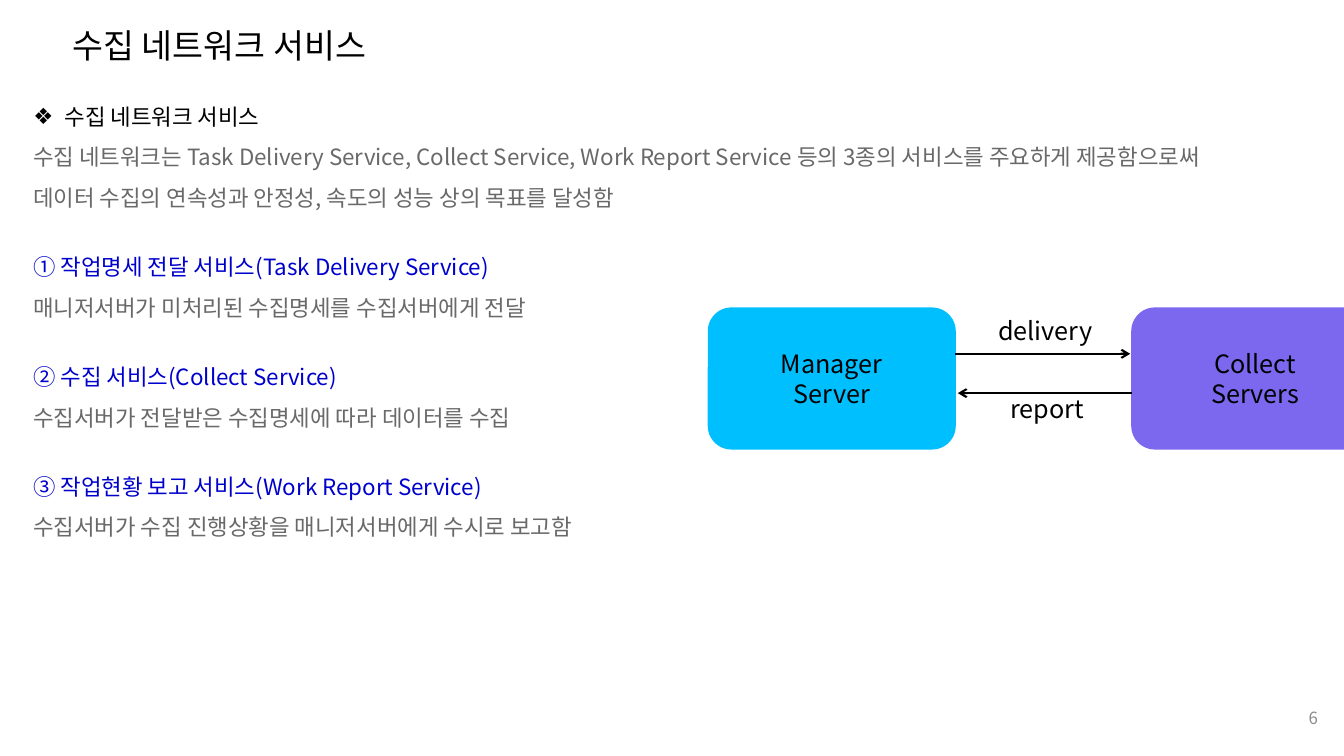
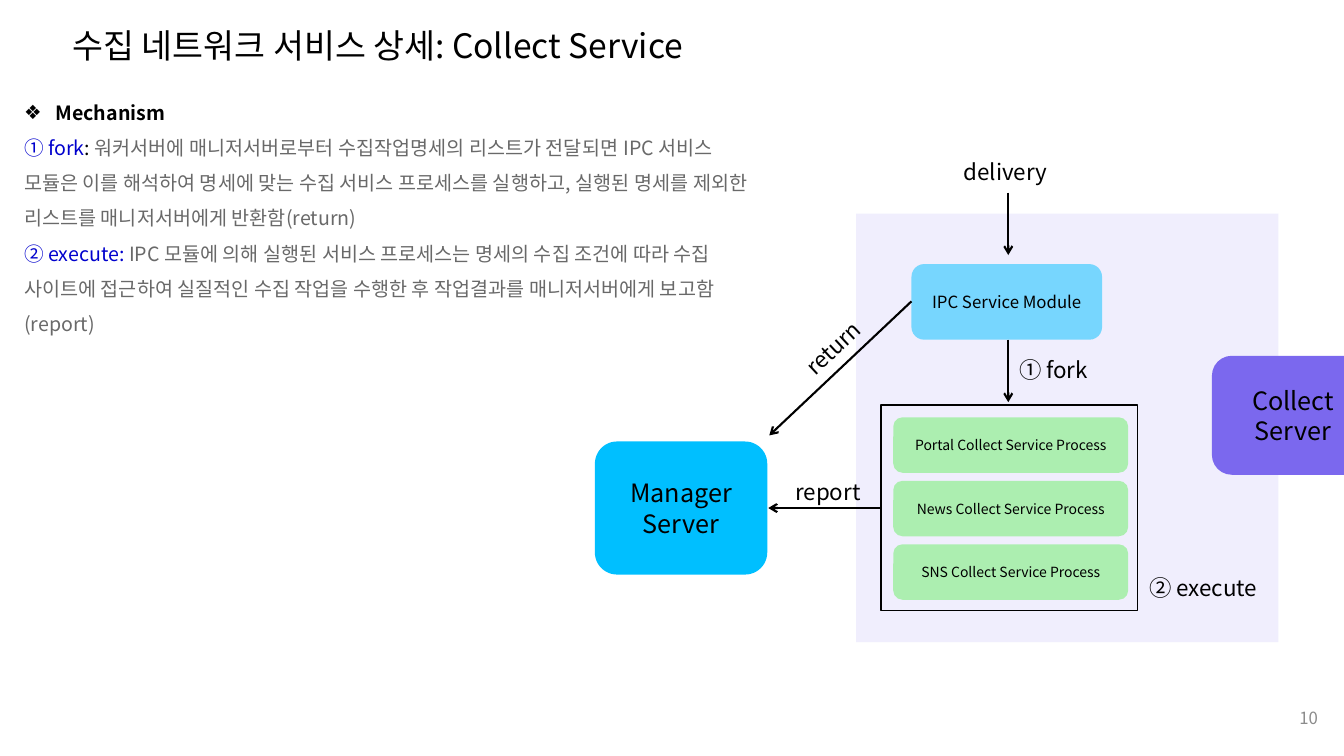
from dataclasses import dataclass

from pptx import Presentation
from pptx.dml.color import RGBColor
from pptx.enum.shapes import MSO_CONNECTOR, MSO_SHAPE
from pptx.enum.text import MSO_ANCHOR, MSO_AUTO_SIZE, PP_ALIGN
from pptx.oxml.ns import qn
from pptx.util import Emu, Pt
from lxml.etree import SubElement


@dataclass(frozen=True)
class Theme:
    font: str = "Noto Sans CJK KR"
    black: str = "000000"
    gray: str = "696969"
    blue: str = "0000CD"
    number: str = "8C8C8C"
    manager: str = "00BFFF"
    collect: str = "7B68EE"
    process: str = "90EE90"
    title_size: int = 24
    server_size: int = 18
    label_size: int = 16
    small_size: int = 12
    process_size: int = 10


THEME = Theme()
PX = 9144  # 100 px to the inch
RECT, ROUND = MSO_SHAPE.RECTANGLE, MSO_SHAPE.ROUNDED_RECTANGLE


def px(*lengths):
    return [Emu(length * PX) for length in lengths]


def write(frame, text, color=THEME.black, size=THEME.label_size, bold=False,
          align=PP_ALIGN.LEFT, spacing=1.0, before=0, bullet=None):
    """Add one paragraph per line; text is a string or (text, color) pairs."""
    lines = [[(line, color)] for line in text.split("\n")] if isinstance(text, str) else [text]
    for line in lines:
        first = frame.paragraphs[0]
        paragraph = frame.add_paragraph() if first.runs else first
        paragraph.alignment = align
        paragraph.line_spacing = spacing
        paragraph.space_before = Pt(before)
        properties = paragraph._p.get_or_add_pPr()
        indent = 31 * PX if bullet else 0
        properties.set("marL", str(indent))
        properties.set("indent", str(-indent))
        if bullet:
            SubElement(properties, qn("a:buChar"), char=bullet)
        else:
            SubElement(properties, qn("a:buNone"))
        for words, ink in line:
            run = paragraph.add_run()
            run.text = words
            run.font.name = THEME.font
            run.font.size = Pt(size)
            run.font.bold = bold
            run.font.color.rgb = RGBColor.from_string(ink)
            SubElement(run._r.get_or_add_rPr(), qn("a:ea"), typeface=THEME.font)


deck = Presentation()
deck.slide_width, deck.slide_height = px(1333, 750)

# Titles, body areas and page numbers
pages = []
for heading, number, body_area in [
    ("수집 네트워크 서비스", "6", (23, 84, 1184, 500)),
    ("수집 네트워크 서비스 상세: Collect Service", "10", (14, 83, 760, 298)),
]:
    slide = deck.slides.add_slide(deck.slide_layouts[1])
    title, body = slide.placeholders
    page_number = slide.shapes.add_textbox(*px(1017, 692, 300, 40))
    for holder, area in [(title, (62, 20, 1200, 50)), (body, body_area)]:
        holder.left, holder.top, holder.width, holder.height = px(*area)
        holder.text_frame.vertical_anchor = MSO_ANCHOR.TOP
        holder.text_frame.auto_size = MSO_AUTO_SIZE.NONE
        holder.text_frame.word_wrap = True
    write(title.text_frame, heading, size=THEME.title_size)
    page_number.text_frame.word_wrap = True
    page_number.text_frame.vertical_anchor = MSO_ANCHOR.MIDDLE
    write(page_number.text_frame, number, color=THEME.number,
          size=THEME.small_size, align=PP_ALIGN.RIGHT)
    pages.append((slide, body.text_frame))
(overview, overview_body), (detail, detail_body) = pages

# Overview: three services
write(overview_body, "수집 네트워크 서비스", spacing=1.5, bullet="❖")
write(overview_body,
      "수집 네트워크는 Task Delivery Service, Collect Service, Work Report Service 등의 "
      "3종의 서비스를 주요하게 제공함으로써 데이터 수집의 연속성과 안정성, "
      "속도의 성능 상의 목표를 달성함", color=THEME.gray, spacing=1.5)
for service, meaning in [
    ("① 작업명세 전달 서비스(Task Delivery Service)",
     "매니저서버가 미처리된 수집명세를 수집서버에게 전달"),
    ("② 수집 서비스(Collect Service)",
     "수집서버가 전달받은 수집명세에 따라 데이터를 수집"),
    ("③ 작업현황 보고 서비스(Work Report Service)",
     "수집서버가 수집 진행상황을 매니저서버에게 수시로 보고함"),
]:
    write(overview_body, service, color=THEME.blue, spacing=1.5, before=21)
    write(overview_body, meaning, color=THEME.gray, spacing=1.5)

# Detail: mechanism
write(detail_body, "Mechanism", size=14, bold=True, spacing=1.5, bullet="❖")
for step in [
    [("① fork", THEME.blue), (": ", THEME.black),
     ("워커서버에 매니저서버로부터 수집작업명세의 리스트가 전달되면 IPC 서비스 모듈은 이를 "
      "해석하여 명세에 맞는 수집 서비스 프로세스를 실행하고, 실행된 명세를 제외한 리스트를 "
      "매니저서버에게 반환함(return)", THEME.gray)],
    [("② execute: ", THEME.blue),
     ("IPC 모듈에 의해 실행된 서비스 프로세스는 명세의 수집 조건에 따라 수집 사이트에 접근하여 "
      "실질적인 수집 작업을 수행한 후 작업결과를 매니저서버에게 보고함(report)", THEME.gray)],
]:
    write(detail_body, step, size=14, spacing=1.5)

# Boxes: slide, text, area, outline, fill, opacity in percent, text size
processes = [
    (detail, f"{site} Collect Service Process", (886, 414 + 63 * row, 233, 55),
     ROUND, THEME.process, 70, THEME.process_size)
    for row, site in enumerate(["Portal", "News", "SNS"])
]
for slide, text, area, outline, fill, opacity, size in [
    (overview, "Manager\nServer", (702, 305, 246, 141), ROUND, THEME.manager, 100, THEME.server_size),
    (overview, "Collect\nServers", (1122, 305, 246, 141), ROUND, THEME.collect, 100, THEME.server_size),
    (detail, "", (849, 212, 419, 425), RECT, THEME.collect, 11, THEME.server_size),
    (detail, "IPC Service Module", (904, 262, 189, 75), ROUND, THEME.manager, 50, THEME.small_size),
    (detail, "", (874, 402, 254, 204), RECT, None, 100, THEME.server_size),
    *processes,
    (detail, "Collect\nServer", (1202, 353, 161, 118), ROUND, THEME.collect, 100, THEME.server_size),
    (detail, "Manager\nServer", (590, 438, 171, 132), ROUND, THEME.manager, 100, THEME.server_size),
]:
    box = slide.shapes.add_shape(outline, *px(*area))
    box.shadow.inherit = False
    if fill:
        box.fill.solid()
        box.fill.fore_color.rgb = RGBColor.from_string(fill)
        box.line.fill.background()
        if opacity < 100:
            ink = box._element.spPr.find(qn("a:solidFill")).find(qn("a:srgbClr"))
            SubElement(ink, qn("a:alpha"), val=str(opacity * 1000))
    else:
        box.fill.background()
        box.line.color.rgb = RGBColor.from_string(THEME.black)
        box.line.width = Pt(1)
    if text:
        box.text_frame.word_wrap = True
        box.text_frame.vertical_anchor = MSO_ANCHOR.MIDDLE
        write(box.text_frame, text, size=size, align=PP_ALIGN.CENTER)

# Arrows: slide, start, end
for slide, start, end in [
    (overview, (947, 351), (1121, 351)),
    (overview, (1123, 390), (950, 390)),
    (detail, (1000, 191), (1000, 253)),
    (detail, (1000, 337), (1000, 399)),
    (detail, (874, 504), (762, 504)),
    (detail, (904, 299), (763, 432)),
]:
    arrow = slide.shapes.add_connector(MSO_CONNECTOR.STRAIGHT, *px(*start, *end))
    arrow.line.color.rgb = RGBColor.from_string(THEME.black)
    arrow.line.width = Pt(1.5)
    SubElement(arrow.line._get_or_add_ln(), qn("a:tailEnd"), type="arrow")
    SubElement(arrow._element.spPr, qn("a:effectLst"))

# Labels: slide, text, area, text size, rotation
for slide, text, area, size, rotation in [
    (overview, "delivery", (980, 308, 115, 40), THEME.server_size, 0),
    (overview, "report", (992, 385, 94, 40), THEME.server_size, 0),
    (detail, "delivery", (946, 152, 104, 37), THEME.label_size, 0),
    (detail, "① fork", (1001, 348, 90, 37), THEME.label_size, 0),
    (detail, "② execute", (1130, 565, 129, 37), THEME.label_size, 0),
    (detail, "report", (779, 469, 86, 37), THEME.label_size, 0),
    (detail, "return", (784, 326, 85, 37), THEME.label_size, 317.1),
]:
    label = slide.shapes.add_textbox(*px(*area))
    label.rotation = rotation
    label.text_frame.word_wrap = False
    write(label.text_frame, text, size=size)

deck.save("out.pptx")
